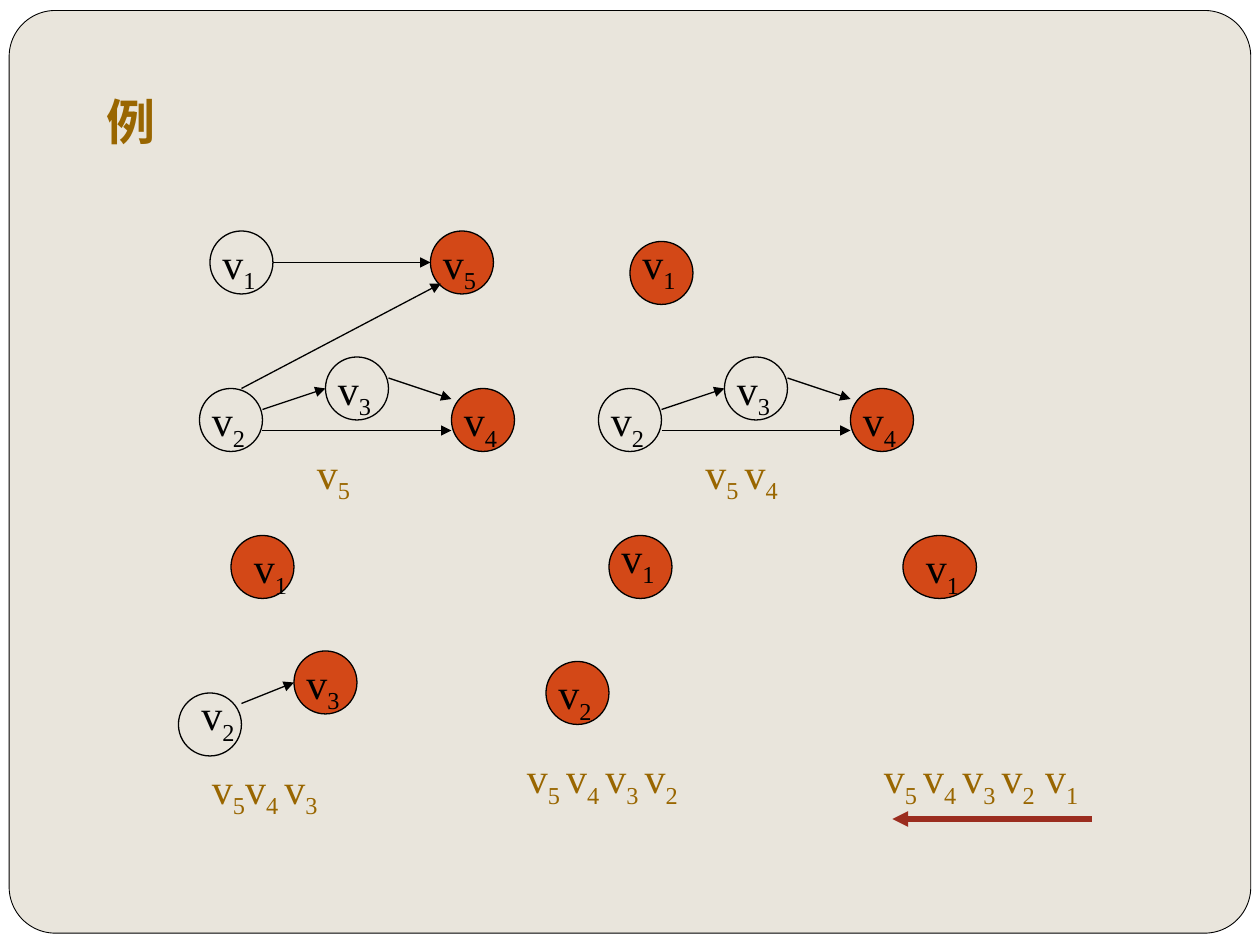
import pptx
import pptx.dml.color
import pptx.enum.shapes
import pptx.enum.text
import pptx.oxml
import pptx.oxml.ns
import pptx.util

PX = 9525
NODE = 48
THEME = {
    "paper": "E9E5DC", "white": "FFFFFF", "ink": "000000",
    "gold": "996600", "done": "D34817", "arrow": "9B2D1F",
    "title_font": "Karla", "font": "Times New Roman",
    "title_size": 28, "size": 24, "thin": 0.75, "frame": 0.5, "thick": 3,
}
C = {k: pptx.dml.color.RGBColor.from_string(v) for k, v in THEME.items()
     if k in ("paper", "white", "ink", "gold", "done", "arrow")}


def add_text(shapes, text, x, y, w, h=48, color="ink", size="size", font="font",
             bold=False, anchor=pptx.enum.text.MSO_ANCHOR.TOP):
    tf = shapes.add_textbox(x * PX, y * PX, w * PX, h * PX).text_frame
    tf.word_wrap = True
    tf.vertical_anchor = anchor
    p = tf.paragraphs[0]
    for i, part in enumerate(text.split("|")):
        r = p.add_run()
        r.text = part
        r.font.name = THEME[font]
        r.font.size = pptx.util.Pt(THEME[size])
        r.font.bold = bold
        r.font.color.rgb = C[color]
        if i % 2:
            r.font._element.set("baseline", "-25000")


def add_arrow(shapes, x1, y1, x2, y2, color="ink", width="thin"):
    sp = shapes.add_connector(pptx.enum.shapes.MSO_CONNECTOR.STRAIGHT,
                              x1 * PX, y1 * PX, x2 * PX, y2 * PX)
    sp.line.color.rgb = C[color]
    sp.line.width = pptx.util.Pt(THEME[width])
    ns = pptx.oxml.ns.nsdecls("a")
    sp.line._get_or_add_ln().append(
        pptx.oxml.parse_xml(f'<a:tailEnd {ns} type="triangle"/>'))
    sp._element.spPr.append(pptx.oxml.parse_xml(f"<a:effectLst {ns}/>"))


prs = pptx.Presentation()
prs.slide_width, prs.slide_height = 960 * PX, 720 * PX
s = prs.slides.add_slide(prs.slide_layouts[6])
s.background.fill.solid()
s.background.fill.fore_color.rgb = C["white"]

sp = s.shapes.add_shape(pptx.enum.shapes.MSO_SHAPE.ROUNDED_RECTANGLE,
                        7 * PX, 8 * PX, 946 * PX, 703 * PX)
sp.adjustments[0] = 0.05
sp.shadow.inherit = False
sp.fill.solid()
sp.fill.fore_color.rgb = C["paper"]
sp.line.color.rgb = C["ink"]
sp.line.width = pptx.util.Pt(THEME["frame"])

add_text(s.shapes, "例", 72, 64, 816, 56, color="gold", size="title_size",
         font="title_font", bold=True, anchor=pptx.enum.text.MSO_ANCHOR.MIDDLE)

# name, x, y, width, done, text dx, text dy
first_nodes = [("v|1", 160, 176, NODE, False, 0, 0), ("v|5", 328, 176, NODE, True, 0, 0)]
first_arrows = [(208, 200, 328, 200), (184, 296, 336, 216)]
second_nodes = [("v|1", 480, 184, NODE, True, 0, -8)]
second_arrows = []
for x, nodes, arrows in ((152, first_nodes, first_arrows),
                         (456, second_nodes, second_arrows)):
    nodes += [("v|2", x, 296, NODE, False, 0, 0),
              ("v|3", x + 96, 272, NODE, False, 0, 0),
              ("v|4", x + 192, 296, NODE, True, 0, 0)]
    arrows += [(x + 48, 312, x + 96, 296),
               (x + 144, 288, x + 192, 304),
               (x + 48, 328, x + 192, 328)]

graphs = [
    (first_nodes, first_arrows),
    (second_nodes, second_arrows),
    ([("v|1", 176, 408, NODE, True, 8, 0),
      ("v|3", 224, 496, NODE, True, 0, 0),
      ("v|2", 136, 528, NODE, False, 8, -8)], [(184, 536, 224, 520)]),
    ([("v|2", 416, 504, NODE, True, 0, 0),
      ("v|1", 464, 408, NODE, True, 0, -8)], []),
    ([("v|1", 688, 408, 56, True, 8, 0)], []),
]
for nodes, arrows in graphs:
    shapes = s.shapes.add_group_shape().shapes
    for name, x, y, w, done, dx, dy in nodes:
        sp = shapes.add_shape(pptx.enum.shapes.MSO_SHAPE.OVAL,
                              x * PX, y * PX, w * PX, NODE * PX)
        sp.shadow.inherit = False
        if done:
            sp.fill.solid()
            sp.fill.fore_color.rgb = C["done"]
        else:
            sp.fill.background()
        sp.line.color.rgb = C["ink"]
        sp.line.width = pptx.util.Pt(THEME["thin"])
        add_text(shapes, name, x + dx, y + dy, 56)
    for ends in arrows:
        add_arrow(shapes, *ends)

for label, x, y, w in (
    ("v|5", 232, 336, 88),
    ("v|5 |v|4", 528, 336, 88),
    ("v|5|v|4 |v|3", 152, 576, 160),
    ("v|5 |v|4 |v|3 |v|2", 392, 568, 160),
    ("v|5 |v|4 |v|3 |v|2| v|1", 664, 568, 192),
):
    add_text(s.shapes, label, x, y, w, color="gold")

add_arrow(s.shapes, 832, 624, 680, 624, color="arrow", width="thick")

prs.save("out.pptx")
